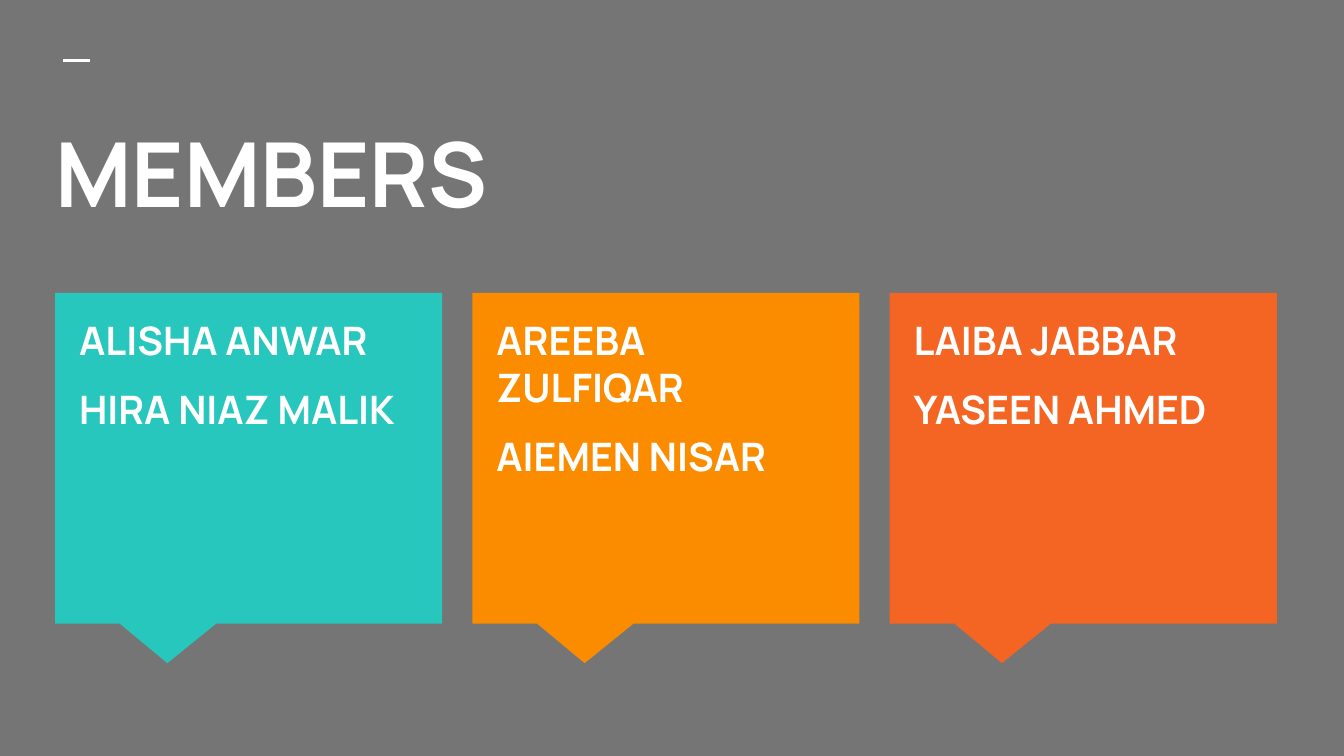
from pptx import Presentation
from pptx.dml.color import RGBColor
from pptx.enum.shapes import MSO_CONNECTOR, MSO_SHAPE
from pptx.enum.text import MSO_ANCHOR, PP_ALIGN
from pptx.oxml.ns import qn
from pptx.util import Inches, Pt
from lxml import etree

GRAY = RGBColor(0x75, 0x75, 0x75)
WHITE = RGBColor(0xFF, 0xFF, 0xFF)
TEAL = RGBColor(0x27, 0xC7, 0xBD)
AMBER = RGBColor(0xFB, 0x8C, 0x00)
ORANGE = RGBColor(0xF4, 0x65, 0x24)
FONT = "Manrope"

TITLE = "MEMBERS"
CARDS = [
    (TEAL, ["ALISHA ANWAR", "HIRA NIAZ MALIK"]),
    (AMBER, ["AREEBA ZULFIQAR", "AIEMEN NISAR"]),
    (ORANGE, ["LAIBA JABBAR", "YASEEN AHMED"]),
]

SLIDE_W = 10
SLIDE_H = SLIDE_W * 9 / 16
CARDS_LEFT, CARDS_RIGHT = 0.41, 9.5
CARD_TOP, CARD_W, CARD_H = 2.18, 2.88, 2.46
CARD_PITCH = (CARDS_RIGHT - CARDS_LEFT - CARD_W) / (len(CARDS) - 1)
PAD_X, PAD_TOP, NAMES_H = 0.08, 0.07, 2.19
POINTER = (-0.21, 0.62)


def fill_text(frame, lines, size):
    frame.word_wrap = True
    frame.vertical_anchor = MSO_ANCHOR.TOP
    frame.margin_left = frame.margin_right = Inches(0.1)
    frame.margin_top = frame.margin_bottom = Inches(0.1)
    frame.text = "\n".join(lines)
    for index, paragraph in enumerate(frame.paragraphs):
        paragraph.alignment = PP_ALIGN.LEFT
        paragraph.line_spacing = 1.0
        paragraph.space_before = Pt(12 if index else 0)
        paragraph.font.name = FONT
        paragraph.font.size = Pt(size)
        paragraph.font.bold = True
        paragraph.font.color.rgb = WHITE


def add_accent_line(slide):
    line = slide.shapes.add_connector(
        MSO_CONNECTOR.STRAIGHT, Inches(0.47), Inches(0.45), Inches(0.67), Inches(0.45))
    line.line.color.rgb = WHITE
    line.line.width = Pt(1.5)
    etree.SubElement(line._element.spPr, qn("a:effectLst"))


def add_title(slide):
    title = slide.shapes.title
    title.left, title.top = Inches(0.31), Inches(0.78)
    title.width, title.height = Inches(9.43), Inches(1.12)
    fill_text(title.text_frame, [TITLE], 48)


def add_card(slide, column, color, names):
    left = CARDS_LEFT + column * CARD_PITCH
    callout = slide.shapes.add_shape(
        MSO_SHAPE.RECTANGULAR_CALLOUT,
        Inches(left), Inches(CARD_TOP), Inches(CARD_W), Inches(CARD_H))
    callout.adjustments[0], callout.adjustments[1] = POINTER
    callout.shadow.inherit = False
    callout.fill.solid()
    callout.fill.fore_color.rgb = color
    callout.line.fill.background()

    members = slide.shapes.add_textbox(
        Inches(left + PAD_X), Inches(CARD_TOP + PAD_TOP),
        Inches(CARD_W - 2 * PAD_X), Inches(NAMES_H))
    fill_text(members.text_frame, names, 21)


def main():
    deck = Presentation()
    deck.slide_width, deck.slide_height = Inches(SLIDE_W), Inches(SLIDE_H)
    slide = deck.slides.add_slide(deck.slide_layouts.get_by_name("Title Only"))
    slide.background.fill.solid()
    slide.background.fill.fore_color.rgb = GRAY
    add_accent_line(slide)
    add_title(slide)
    for column, (color, names) in enumerate(CARDS):
        add_card(slide, column, color, names)
    deck.save("out.pptx")


if __name__ == "__main__":
    main()
